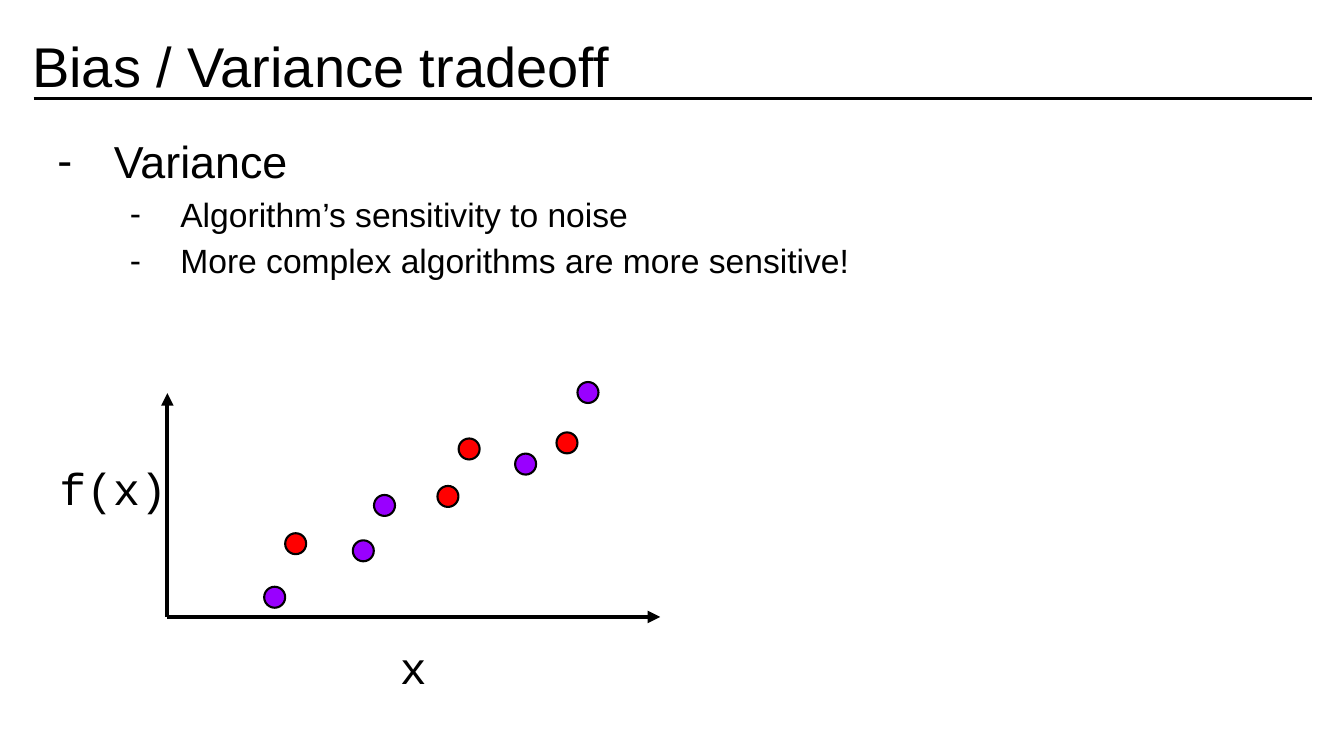
import pptx
import pptx.dml.color
import pptx.enum.shapes
import pptx.enum.text
import pptx.oxml
import pptx.oxml.ns
import pptx.util
from lxml import etree

WIDTH, HEIGHT = pptx.util.Inches(13.33), pptx.util.Inches(7.5)
COLUMNS, ROWS = 64, 36  # one cell is the size of one data point
BLACK, WHITE, RED, PURPLE = "000000", "FFFFFF", "FF0000", "9900FF"
ALIGN = pptx.enum.text.PP_ALIGN
ANCHOR = pptx.enum.text.MSO_ANCHOR

POINTS = [
    (12.58, 27.94, PURPLE), (13.58, 25.39, RED), (16.8, 25.73, PURPLE),
    (17.81, 23.57, PURPLE), (20.83, 23.14, RED), (21.84, 20.88, RED),
    (24.53, 21.6, PURPLE), (26.5, 20.59, RED), (27.5, 18.19, PURPLE),
]
# text, level, size, left margin and hanging indent in inches
BULLETS = [
    ("Variance", 0, 32, 0.67, 0.56),
    ("Algorithm’s sensitivity to noise", 1, 24, 1.33, 0.5),
    ("More complex algorithms are more sensitive!", 1, 24, 1.33, 0.5),
]


def color(value):
    return pptx.dml.color.RGBColor.from_string(value)


def grid(column, row):
    return round(WIDTH * column / COLUMNS), round(HEIGHT * row / ROWS)


def add_child(parent, tag, **attributes):
    child = etree.SubElement(parent, pptx.oxml.ns.qn(tag))
    for name, value in attributes.items():
        child.set(name, value)
    return child


def set_values(target, values):
    for name, value in values.items():
        setattr(target, name, value)


def style_paragraph(paragraph, text, size, font="Arial", **layout):
    paragraph.text = text
    set_values(paragraph, layout)
    set_values(paragraph.font, {"name": font, "size": pptx.util.Pt(size)})
    paragraph.font.color.rgb = color(BLACK)


def add_text_box(shapes, column, row, columns, rows, anchor=ANCHOR.TOP):
    box = shapes.add_textbox(*grid(column, row), *grid(columns, rows))
    inset = pptx.util.Inches(0.13)
    sides = ("left", "top", "right", "bottom")
    set_values(box.text_frame, {f"margin_{side}": inset for side in sides})
    set_values(box.text_frame, {"word_wrap": True, "vertical_anchor": anchor})
    return box


def add_line(shapes, start, end, width, arrow=False):
    line = shapes.add_connector(
        pptx.enum.shapes.MSO_CONNECTOR.STRAIGHT, *grid(*start), *grid(*end))
    line.line.color.rgb = color(BLACK)
    line.line.width = pptx.util.Pt(width)
    if arrow:
        add_child(line.line._get_or_add_ln(), "a:tailEnd", type="triangle")
    add_child(line._element.spPr, "a:effectLst")


def add_point(shapes, column, row, fill):
    point = shapes.add_shape(
        pptx.enum.shapes.MSO_SHAPE.OVAL, *grid(column, row), *grid(1, 1))
    point.shadow.inherit = False
    point.fill.solid()
    point.fill.fore_color.rgb = color(fill)
    point.line.color.rgb = color(BLACK)
    point.line.width = pptx.util.Pt(1.5)


def add_title(shapes, text):
    add_line(shapes, (1.6, 4.7), (62.46, 4.7), 2.25)
    box = add_text_box(shapes, 0.91, 1.34, 62.2, 4.03, ANCHOR.BOTTOM)
    style_paragraph(box.text_frame.paragraphs[0], text, 40, line_spacing=0.9)


def add_bullets(shapes, bullets):
    box = add_text_box(shapes, 1.58, 5.38, 60.87, 29.81)
    box.fill.solid()
    box.fill.fore_color.rgb = color(WHITE)
    white = box._element.spPr.find(".//" + pptx.oxml.ns.qn("a:srgbClr"))
    add_child(white, "a:alpha", val="60000")
    frame = box.text_frame
    for index, (text, level, size, margin, hanging) in enumerate(bullets):
        paragraph = frame.add_paragraph() if index else frame.paragraphs[0]
        properties = paragraph._p.get_or_add_pPr()
        properties.set("marL", str(pptx.util.Inches(margin)))
        properties.set("indent", str(-pptx.util.Inches(hanging)))
        add_child(add_child(properties, "a:buClr"), "a:srgbClr", val=BLACK)
        add_child(properties, "a:buFont", typeface="Arial")
        add_child(properties, "a:buChar", char="-")
        style_paragraph(paragraph, text, size, level=level, line_spacing=1.15)


def add_axis_label(shapes, text, column, row, columns, alignment):
    box = add_text_box(shapes, column, row, columns, 3.65)
    style_paragraph(box.text_frame.paragraphs[0], text, 32, "Courier New",
                    alignment=alignment)


def add_scatter_sketch(shapes):
    sketch = shapes.add_group_shape().shapes
    add_axis_label(sketch, "f(x)", 2.21, 21.31, 10.37, ALIGN.LEFT)
    for column, row, fill in POINTS:
        add_point(sketch, column, row, fill)
    origin = (7.97, 29.38)
    for end in ((7.97, 18.72), (31.44, 29.38)):
        add_line(sketch, origin, end, 3, arrow=True)
    add_axis_label(sketch, "x", 12.05, 29.86, 15.26, ALIGN.CENTER)


def main():
    presentation = pptx.Presentation()
    set_values(presentation, {"slide_width": WIDTH, "slide_height": HEIGHT})
    slide = presentation.slides.add_slide(presentation.slide_layouts[6])
    add_title(slide.shapes, "Bias / Variance tradeoff")
    add_bullets(slide.shapes, BULLETS)
    add_scatter_sketch(slide.shapes)
    presentation.save("out.pptx")


if __name__ == "__main__":
    main()
